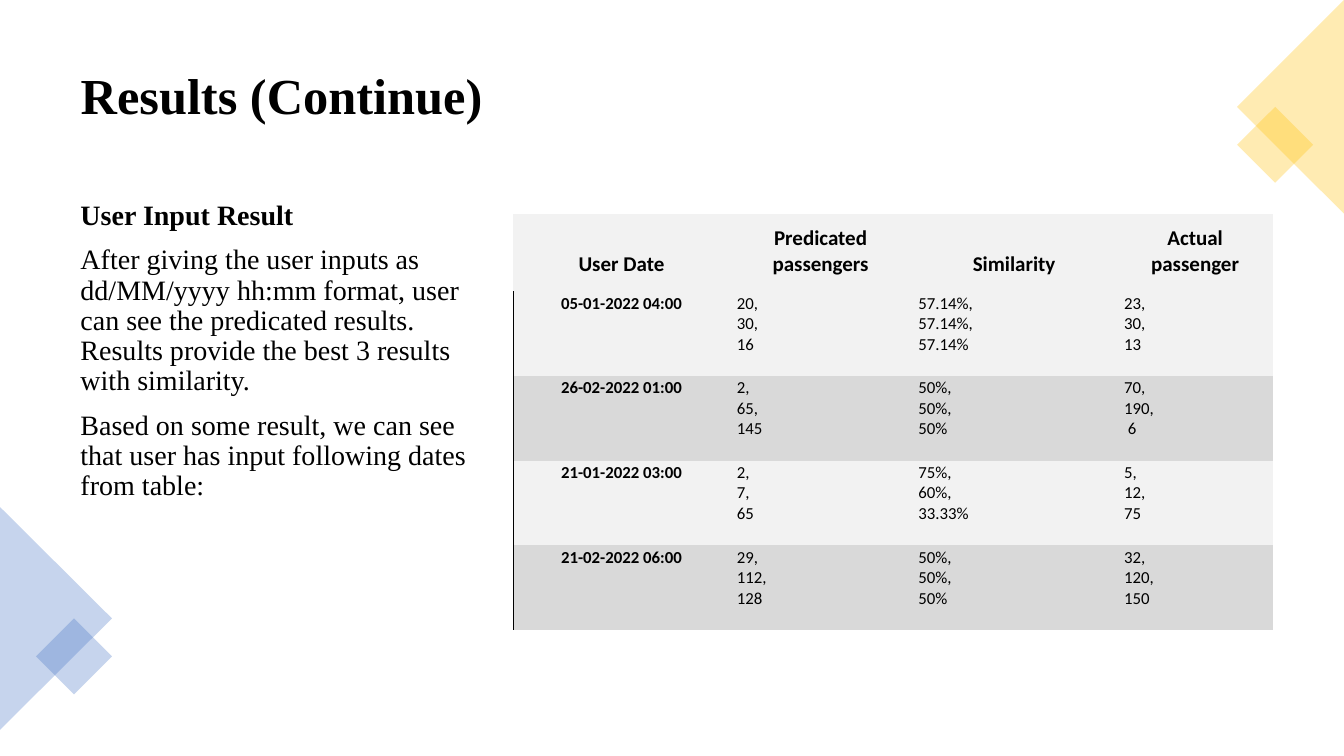
from dataclasses import dataclass

from lxml import etree
from pptx import Presentation
from pptx.dml.color import RGBColor
from pptx.enum.shapes import MSO_SHAPE
from pptx.enum.text import MSO_ANCHOR, MSO_AUTO_SIZE, PP_ALIGN
from pptx.oxml import parse_xml
from pptx.oxml.ns import nsdecls, qn
from pptx.util import Inches, Pt

TRIANGLE, SQUARE = MSO_SHAPE.ISOSCELES_TRIANGLE, MSO_SHAPE.RECTANGLE
TOP, MIDDLE, BOTTOM = MSO_ANCHOR.TOP, MSO_ANCHOR.MIDDLE, MSO_ANCHOR.BOTTOM
LEFT, CENTER, JUSTIFY = PP_ALIGN.LEFT, PP_ALIGN.CENTER, PP_ALIGN.JUSTIFY
NO_AUTOFIT = MSO_AUTO_SIZE.NONE
TITLE_ONLY = 5
PLAIN_TABLE = "{2D5ABB26-0587-4C30-8999-92F81FD0307C}"


@dataclass(frozen=True)
class Theme:
    """Colours, fonts and type sizes of the slide."""
    ink: str = "000000"
    blue: str = "4472C4"
    yellow: str = "FFC000"
    light: str = "F2F2F2"
    dark: str = "D9D9D9"
    prose_font: str = "Times New Roman"
    table_font: str = "Calibri"
    title_size: int = 36
    prose_size: int = 20
    header_size: int = 15
    cell_size: int = 12
    opacity: int = 30


@dataclass(frozen=True)
class Box:
    """A rectangle in slide lengths."""
    left: int
    top: int
    width: int
    height: int


THEME = Theme()
SLIDE_WIDTH, SLIDE_HEIGHT = Inches(13.33), Inches(7.5)
DIAMOND_SIDE = int(SLIDE_WIDTH * 0.04)

TITLE = "Results (Continue)"
PROSE = [
    "User Input Result",
    "After giving the user inputs as dd/MM/yyyy hh:mm format, user can see the "
    "predicated results. Results provide the best 3 results with similarity.",
    "Based on some result, we can see that user has input following dates from table:",
]
COLUMN_WEIGHTS = [2.15, 1.8, 2.04, 1.55]
ROW_WEIGHTS = [0.77] + [0.84] * 4
HEADER = ["User Date", "Predicated passengers", "Similarity", "Actual passenger"]
RESULTS = [
    ["05-01-2022 04:00", "20,\n30,\n16", "57.14%,\n57.14%,\n57.14%", "23,\n30,\n13"],
    ["26-02-2022 01:00", "2,\n65,\n145", "50%,\n50%,\n50%", "70,\n190,\n 6"],
    ["21-01-2022 03:00", "2,\n7,\n65", "75%,\n60%,\n33.33%", "5,\n12,\n75"],
    ["21-02-2022 06:00", "29,\n112,\n128", "50%,\n50%,\n50%", "32,\n120,\n150"],
]


def percent_box(left, top, width, height):
    """Return a box given in percent of the slide's width and height."""
    return Box(int(SLIDE_WIDTH * left / 100), int(SLIDE_HEIGHT * top / 100),
               int(SLIDE_WIDTH * width / 100), int(SLIDE_HEIGHT * height / 100))


def format_paragraph(paragraph, font_name, size, bold, alignment):
    """Align a paragraph and format its runs."""
    paragraph.alignment = alignment
    for run in paragraph.runs:
        run.font.name = font_name
        run.font.size = Pt(size)
        run.font.bold = bold
        run.font.color.rgb = RGBColor.from_string(THEME.ink)


def add_title(slide, box):
    """Place and format the title placeholder."""
    title = slide.shapes.title
    title.left, title.top, title.width, title.height = box.left, box.top, box.width, box.height
    frame = title.text_frame
    frame.text = TITLE
    frame.auto_size = NO_AUTOFIT
    frame.vertical_anchor = MIDDLE
    frame.paragraphs[0].line_spacing = 0.9
    format_paragraph(frame.paragraphs[0], THEME.prose_font, THEME.title_size, True, LEFT)


def add_prose(slide, box):
    """Add the bold heading and its paragraphs."""
    frame = slide.shapes.add_textbox(box.left, box.top, box.width, box.height).text_frame
    frame.word_wrap = True
    frame.text = "\n".join(PROSE)
    for index, paragraph in enumerate(frame.paragraphs):
        paragraph.line_spacing = 0.9
        paragraph.space_before = Pt(10)
        format_paragraph(paragraph, THEME.prose_font, THEME.prose_size, index == 0, LEFT)


def add_tinted_shape(group, kind, center_x, center_y, width, height, rotation, color):
    """Add a translucent rotated shape about a centre."""
    shape = group.shapes.add_shape(kind, int(center_x - width / 2), int(center_y - height / 2),
                                   int(width), int(height))
    shape.rotation = rotation
    shape.shadow.inherit = False
    shape.line.fill.background()
    shape.fill.solid()
    shape.fill.fore_color.rgb = RGBColor.from_string(color)
    for node in shape.element.spPr.iter(qn("a:srgbClr")):
        etree.SubElement(node, qn("a:alpha"), val=str(THEME.opacity * 1000))


def add_corner(slide, box, color, points_right):
    """Fill a box with a sideways triangle and a diamond below its tip."""
    group = slide.shapes.add_group_shape()
    center_x, center_y = box.left + box.width / 2, box.top + box.height / 2
    half_diagonal = DIAMOND_SIDE / 2 ** 0.5
    diamond_x = (box.left + box.width - half_diagonal if points_right
                 else box.left + half_diagonal)
    add_tinted_shape(group, TRIANGLE, center_x, center_y, box.height, box.width,
                     90 if points_right else 270, color)
    add_tinted_shape(group, SQUARE, diamond_x, center_y + half_diagonal,
                     DIAMOND_SIDE, DIAMOND_SIDE, 45, color)


def add_left_border(cell):
    """Draw a thin line on the left of a cell."""
    cell.fill.solid()
    border = parse_xml(f'<a:lnL {nsdecls("a")} w="12700"><a:solidFill>'
                       f'<a:srgbClr val="{THEME.ink}"/></a:solidFill></a:lnL>')
    cell._tc.get_or_add_tcPr().insert(0, border)


def fill_cell(cell, text, row, column):
    """Write a cell and style it by its place in the table."""
    is_header, is_date = row == 0, column == 0
    if is_date and not is_header:
        add_left_border(cell)
    cell.fill.solid()
    banded = row > 0 and row % 2 == 0
    cell.fill.fore_color.rgb = RGBColor.from_string(THEME.dark if banded else THEME.light)
    cell.margin_left = cell.margin_right = Inches(0.07)
    cell.margin_top, cell.margin_bottom = Inches(0.02), Inches(0.14)
    cell.vertical_anchor = BOTTOM if is_header else TOP
    cell.text_frame.text = text
    for paragraph in cell.text_frame.paragraphs:
        format_paragraph(paragraph, THEME.table_font,
                         THEME.header_size if is_header else THEME.cell_size,
                         is_header or is_date, CENTER if is_header or is_date else JUSTIFY)


def add_results(slide, box):
    """Add the table of results."""
    rows = [HEADER] + RESULTS
    table = slide.shapes.add_table(len(rows), len(HEADER), box.left, box.top,
                                   box.width, box.height).table
    table._tbl.tblPr.find(qn("a:tableStyleId")).text = PLAIN_TABLE
    table.horz_banding = False
    for column, weight in zip(table.columns, COLUMN_WEIGHTS):
        column.width = int(box.width * weight / sum(COLUMN_WEIGHTS))
    for row, weight in zip(table.rows, ROW_WEIGHTS):
        row.height = int(box.height * weight / sum(ROW_WEIGHTS))
    for row, texts in enumerate(rows):
        for column, text in enumerate(texts):
            fill_cell(table.cell(row, column), text, row, column)


def build_slide(presentation):
    """Build the results slide."""
    slide = presentation.slides.add_slide(presentation.slide_layouts[TITLE_ONLY])
    add_title(slide, percent_box(5.25, 4.67, 89.5, 16.53))
    add_prose(slide, percent_box(5.25, 26, 32.86, 64.13))
    add_corner(slide, percent_box(0, 67.07, 8.33, 29.47), THEME.blue, True)
    add_corner(slide, percent_box(92.05, 0, 7.95, 28.27), THEME.yellow, False)
    add_results(slide, percent_box(38.18, 28.27, 56.56, 55.07))


def main():
    """Create and save the presentation."""
    presentation = Presentation()
    presentation.slide_width, presentation.slide_height = SLIDE_WIDTH, SLIDE_HEIGHT
    build_slide(presentation)
    presentation.save("out.pptx")


main()
